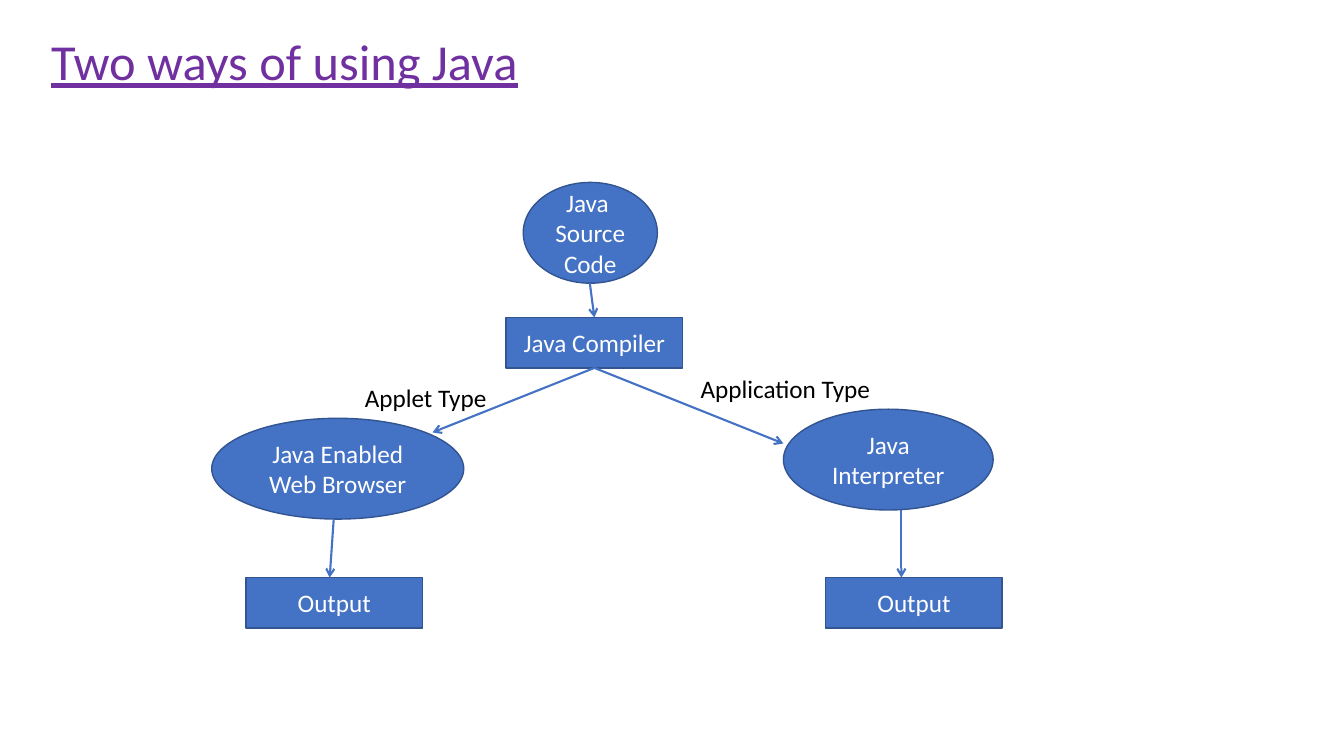
from lxml import etree
from pptx import Presentation
from pptx.dml.color import RGBColor
from pptx.enum import shapes, text
from pptx.oxml import ns
from pptx.util import Inches, Pt

FONT = "Calibri"
BLUE = "4472C4"
DARK_BLUE = "325491"
PURPLE = "7030A0"
WHITE = "FFFFFF"
BLACK = "000000"
TOP, BOTTOM = 0, 2


def color(hex_string):
    return RGBColor.from_string(hex_string)


def write_text(frame, content, size=18, ink=BLACK, align=text.PP_ALIGN.LEFT,
               anchor=text.MSO_ANCHOR.TOP, underline=None, space_after=None):
    frame.word_wrap = True
    frame.vertical_anchor = anchor
    for index, line in enumerate(content.split("\n")):
        paragraph = frame.add_paragraph() if index else frame.paragraphs[0]
        paragraph.alignment = align
        if space_after is not None:
            paragraph.space_after = Pt(space_after)
        run = paragraph.add_run()
        run.text = line
        run.font.name = FONT
        run.font.size = Pt(size)
        run.font.underline = underline
        run.font.color.rgb = color(ink)


def add_label(slide, content, left, top, width, height, **text_format):
    box = slide.shapes.add_textbox(*map(Inches, (left, top, width, height)))
    write_text(box.text_frame, content, **text_format)


def add_node(slide, kind, content, left, top, width, height):
    shape = slide.shapes.add_shape(kind, *map(Inches, (left, top, width, height)))
    shape.shadow.inherit = False
    shape.fill.solid()
    shape.fill.fore_color.rgb = color(BLUE)
    shape.line.color.rgb = color(DARK_BLUE)
    shape.line.width = Pt(1)
    write_text(shape.text_frame, content, ink=WHITE,
               align=text.PP_ALIGN.CENTER, anchor=text.MSO_ANCHOR.MIDDLE)
    return shape


def add_step(slide, content, left, top):
    return add_node(slide, shapes.MSO_SHAPE.RECTANGLE, content, left, top, 1.75, 0.5)


def add_stage(slide, content, left, top, width):
    return add_node(slide, shapes.MSO_SHAPE.OVAL, content, left, top, width, 1)


def add_arrow(slide, start, end):
    connector = slide.shapes.add_connector(
        shapes.MSO_CONNECTOR.STRAIGHT, *map(Inches, start + end))
    connector.line.color.rgb = color(BLUE)
    connector.line.width = Pt(1.5)
    # Open arrowhead, no shadow
    etree.SubElement(connector.line._get_or_add_ln(), ns.qn("a:tailEnd"), type="arrow")
    etree.SubElement(connector._element.spPr, ns.qn("a:effectLst"))
    return connector


def main():
    presentation = Presentation()
    presentation.slide_width = Inches(13.33)
    presentation.slide_height = Inches(7.5)
    slide = presentation.slides.add_slide(presentation.slide_layouts[6])

    # Title
    add_label(slide, "Two ways of using Java", 0.41, 0.25, 12.5, 0.71, size=36,
              ink=PURPLE, align=text.PP_ALIGN.JUSTIFY, underline=True, space_after=18)

    # Stages and steps
    add_stage(slide, "Java \nSource Code", 5.19, 1.81, 1.33)
    add_stage(slide, "Java Enabled Web Browser", 2.1, 4.15, 2.5)
    add_stage(slide, "Java Interpreter", 7.77, 4.06, 2.08)
    compiler = add_step(slide, "Java Compiler", 5.02, 3.15)
    for left in (8.19, 2.44):
        add_step(slide, "Output", left, 5.73)

    # Source code to compiler
    add_arrow(slide, (5.85, 2.81), (5.89, 3.15)).end_connect(compiler, TOP)

    # Compiler to interpreter and to browser
    for end in ((7.77, 4.4), (4.29, 4.29)):
        add_arrow(slide, (5.89, 3.65), end).begin_connect(compiler, BOTTOM)

    # Results
    add_arrow(slide, (3.31, 5.15), (3.27, 5.73))
    add_arrow(slide, (8.94, 5.06), (8.94, 5.73))

    # Branch labels
    add_label(slide, "Application Type", 6.85, 3.65, 2.42, 0.4)
    add_label(slide, "Applet Type", 3.52, 3.74, 1.5, 0.4)

    presentation.save("out.pptx")


if __name__ == "__main__":
    main()
